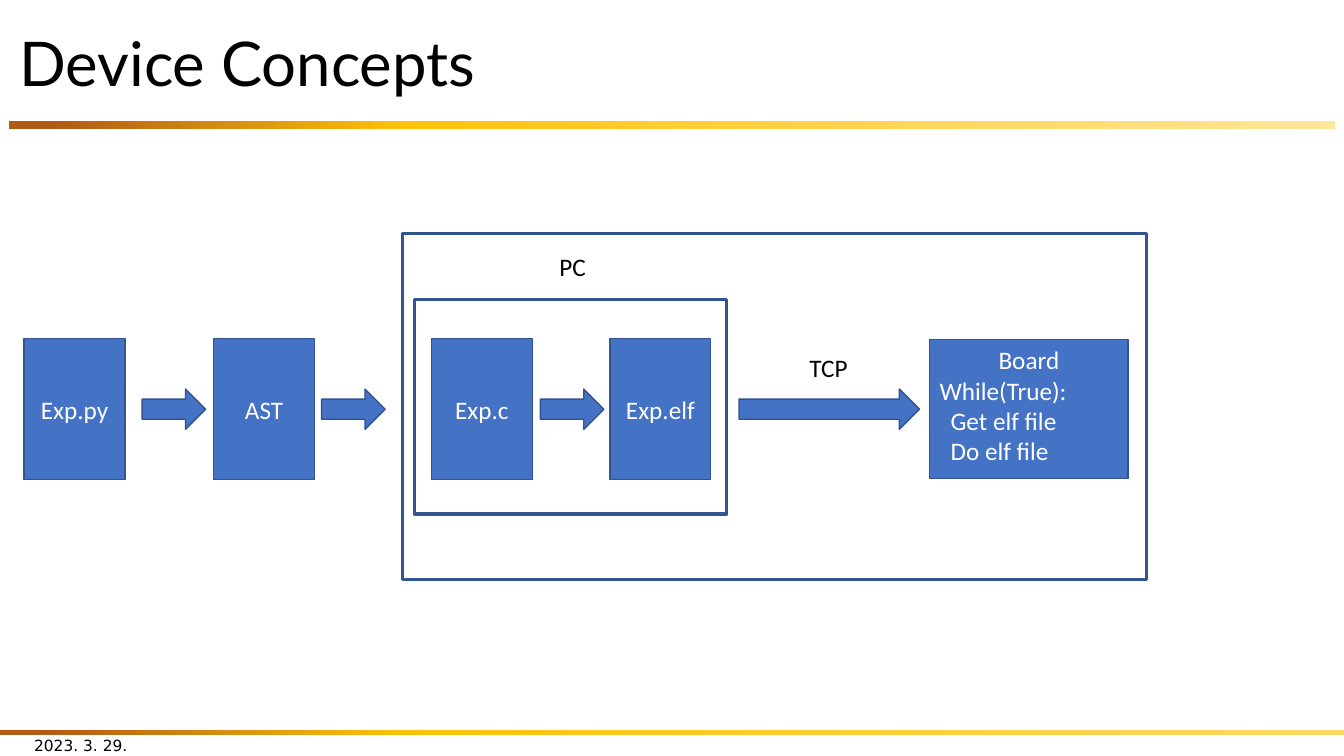
from lxml import etree
from pptx import Presentation
from pptx.dml.color import RGBColor
from pptx.enum.shapes import MSO_SHAPE as Shape
from pptx.enum.text import MSO_ANCHOR as Anchor, MSO_AUTO_SIZE as AutoSize, PP_ALIGN as Align
from pptx.oxml.ns import qn
from pptx.util import Pt

PX = 9144  # EMU per px, 100 px to the inch
COLORS = {
    "blue": "4472C4", "outline": "325491", "white": "FFFFFF", "black": "000000",
    "rust": "B05A16", "amber": "FFC208", "pale": "FFE699", "gold": "FFD966",
}
FLOW_MIDDLE = 406
BOX_SIZE = (100, 140)
ARROW_HEIGHT = 40


def color(name):
    return RGBColor.from_string(COLORS[name])


def emu(*lengths):
    return [length * PX for length in lengths]


def write(frame, lines, size=18, font="Calibri", ink="black", anchor=Anchor.TOP):
    """Fill a text frame; each line is (text, alignment, indent in px)."""
    frame.vertical_anchor = anchor
    for number, (text, align, indent) in enumerate(lines):
        para = frame.add_paragraph() if number else frame.paragraphs[0]
        para.alignment = align
        if indent:
            para._p.get_or_add_pPr().set("marL", str(indent * PX))
        span = para.add_run()
        span.text = text
        span.font.size = Pt(size)
        span.font.name = font
        span.font.color.rgb = color(ink)


def add_block(page, kind, place, fill="blue", weight=1):
    block = page.shapes.add_shape(kind, *emu(*place))
    block.shadow.inherit = False
    if fill:
        block.fill.solid()
        block.fill.fore_color.rgb = color(fill)
    else:
        block.fill.background()
    block.line.color.rgb = color("outline")
    block.line.width = Pt(weight)
    return block


def add_bar(page, place, end):
    bar = page.shapes.add_shape(Shape.RECTANGLE, *emu(*place))
    bar.shadow.inherit = False
    bar.line.fill.background()
    bar.fill.gradient()
    bar.fill.gradient_angle = 0
    stops = bar._element.spPr.find(".//" + qn("a:gsLst"))
    for stop in list(stops):
        stops.remove(stop)
    for percent, name in ((3, "rust"), (30, "amber"), (100, end)):
        stop = etree.SubElement(stops, qn("a:gs"), pos=str(percent * 1000))
        etree.SubElement(stop, qn("a:srgbClr"), val=COLORS[name])


def add_box(page, left, label):
    width, height = BOX_SIZE
    box = add_block(page, Shape.RECTANGLE, (left, FLOW_MIDDLE - height // 2, width, height))
    write(box.text_frame, [(label, Align.CENTER, 0)], ink="white", anchor=Anchor.MIDDLE)


def add_arrow(page, left, width=63):
    top = FLOW_MIDDLE - ARROW_HEIGHT // 2
    add_block(page, Shape.RIGHT_ARROW, (left, top, width, ARROW_HEIGHT))


def add_label(page, place, text, align=Align.LEFT, **style):
    label = page.shapes.add_textbox(*emu(*place))
    label.text_frame.word_wrap = True
    write(label.text_frame, [(text, align, 0)], **style)


def add_title(page, text):
    title = page.shapes.title
    title.left, title.top, title.width, title.height = emu(9, 17, 1315, 98)
    title.text_frame.auto_size = AutoSize.NONE
    write(title.text_frame, [(text, Align.LEFT, 0)], size=44, font="Lato", anchor=Anchor.MIDDLE)
    title.text_frame.paragraphs[0].line_spacing = 0.9


def main():
    deck = Presentation()
    deck.slide_width, deck.slide_height = emu(1333, 750)
    page = deck.slides.add_slide(deck.slide_layouts[5])

    # Title, bars and date
    add_bar(page, (9, 120, 1315, 8), "pale")
    add_bar(page, (0, 724, 1333, 5), "gold")
    add_title(page, "Device Concepts")
    add_label(page, (24, 719, 300, 40), "2023. 3. 29.",
              size=11, font="DejaVu Sans", anchor=Anchor.MIDDLE)

    # Frames around the device and the PC
    for place in ((399, 232, 738, 343), (411, 297, 310, 213)):
        add_block(page, Shape.RECTANGLE, place, fill=None, weight=2.25)

    # File boxes and the arrows between them
    for left, label in ((24, "Exp.py"), (212, "AST"), (428, "Exp.c"), (605, "Exp.elf")):
        add_box(page, left, label)
    for left in (141, 319, 536):
        add_arrow(page, left)
    add_arrow(page, 733, width=179)

    # Board with its loop
    board = add_block(page, Shape.RECTANGLE, (922, 337, 197, 138))
    write(board.text_frame, [
        ("Board", Align.CENTER, 0),
        ("While(True):", Align.LEFT, 0),
        ("Get elf file", Align.LEFT, 11),
        ("Do elf file", Align.LEFT, 11),
    ], ink="white")

    # Captions
    add_label(page, (793, 345, 58, 40), "TCP")
    add_label(page, (539, 244, 58, 40), "PC", Align.CENTER)

    deck.save("out.pptx")


if __name__ == "__main__":
    main()
